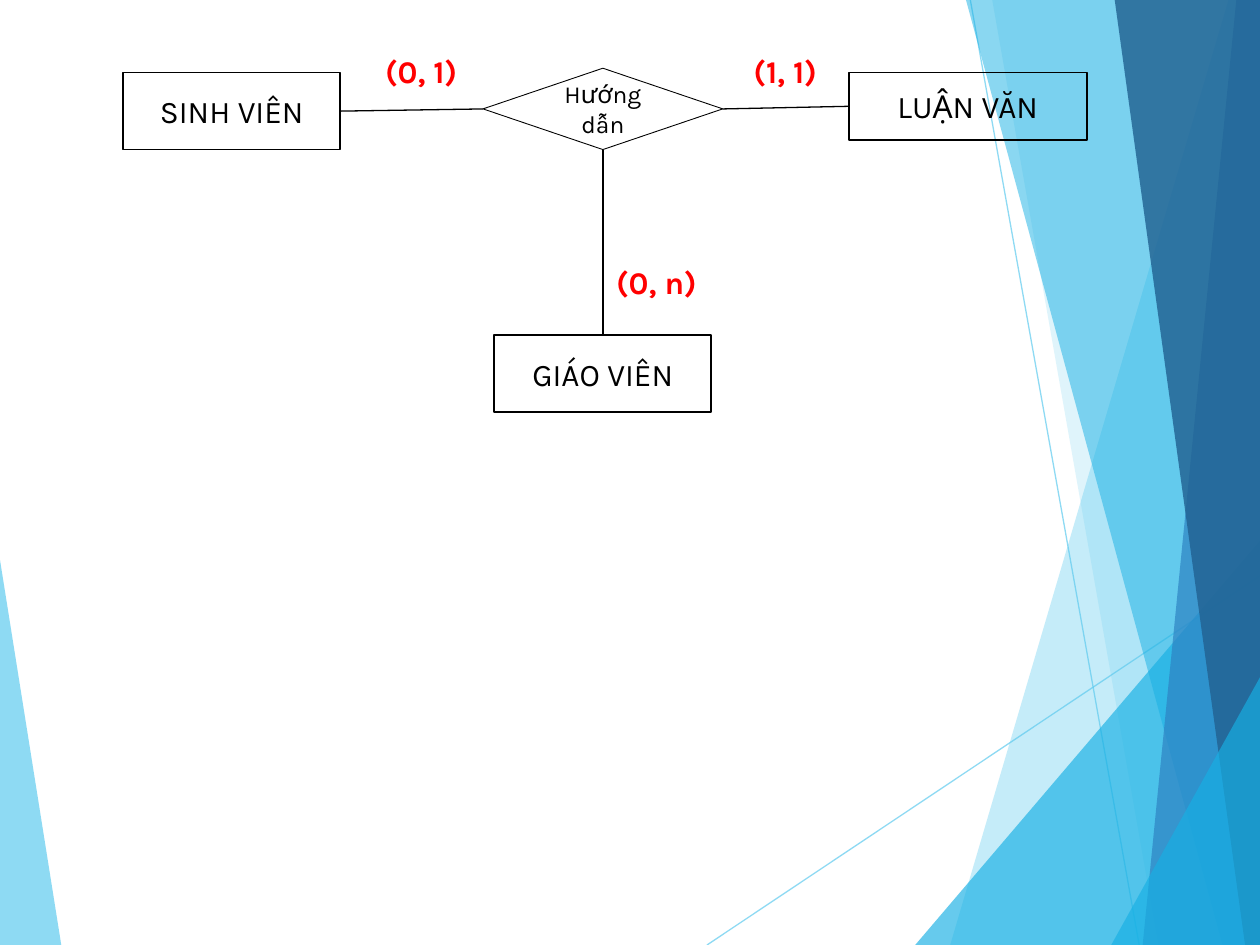
import pptx
import pptx.util
import pptx.dml.color
import pptx.enum.shapes
import pptx.enum.text
import lxml.etree

Pt = pptx.util.Pt
KIND = pptx.enum.shapes.MSO_SHAPE
FIT = pptx.enum.text.MSO_AUTO_SIZE
ALIGN = pptx.enum.text.PP_ALIGN
MIDDLE = pptx.enum.text.MSO_ANCHOR.MIDDLE
STRAIGHT = pptx.enum.shapes.MSO_CONNECTOR.STRAIGHT
NS = "{http://schemas.openxmlformats.org/drawingml/2006/main}"
TOP, LEFT, BOTTOM, RIGHT = range(4)
HEX = {"ink": "000000", "red": "FF0000", "sky": "5FCBEF",
       "cyan": "17B0E4", "blue": "2E83C3", "navy": "226292"}


def paint(fill, name, alpha=100):
    """Give a fill a solid colour with an opacity in percent."""
    fill.solid()
    fill.fore_color.rgb = pptx.dml.color.RGBColor.from_string(HEX[name])
    if alpha < 100:
        tint = fill._xPr.find(f"{NS}solidFill")[0]
        lxml.etree.SubElement(tint, f"{NS}alpha", val=str(alpha * 1000))


def write(shape, text, size=18, color="ink", bold=False, align=ALIGN.CENTER):
    """Put one formatted line of text into a shape."""
    para = shape.text_frame.paragraphs[0]
    para.alignment = align
    run = para.add_run()
    run.text = text
    run.font.name = "Karla"
    run.font.size = Pt(size)
    run.font.bold = bold
    paint(run.font.fill, color)


deck = pptx.Presentation()
deck.slide_width, deck.slide_height = Pt(720), Pt(540)
slide = deck.slides.add_slide(deck.slide_layouts[6])
shapes = slide.shapes

# Background rays, then facets
rays = [((404, 540), (720, 329)), ((554.5, 0), (651, 540))]
facets = [
    ("sky", 70, [(0, 320), (35, 540), (0, 540)]),
    ("sky", 36, [(702, 0), (543, 540), (720, 540), (720, 0)]),
    ("sky", 20, [(567, 0), (662, 540), (720, 540), (720, 0)]),
    ("cyan", 66, [(523, 540), (720, 309), (720, 540)]),
    ("cyan", 50, [(552, 0), (698.5, 540), (720, 540), (720, 0)]),
    ("blue", 70, [(706.5, 0), (653, 540), (720, 540), (720, 0)]),
    ("navy", 82, [(637, 0), (711.5, 540), (720, 540), (720, 0)]),
    ("cyan", 66, [(635, 540), (720, 387), (720, 540)]),
]
lines = []
for start, end in rays:
    ray = shapes.add_connector(STRAIGHT, *map(Pt, start + end))
    lines.append((ray, "sky", 70))
for color, alpha, points in facets:
    points = [(Pt(x), Pt(y)) for x, y in points]
    pen = shapes.build_freeform(*points[0])
    pen.add_line_segments(points[1:])
    facet = pen.convert_to_shape()
    facet.shadow.inherit = False
    facet.line.fill.background()
    paint(facet.fill, color, alpha)

# Entities and their relation
nodes = {}
for text, kind, box, size, width in [
    ("LUẬN VĂN", KIND.RECTANGLE, (485, 41.5, 136, 38.5), 18, 1),
    ("SINH VIÊN", KIND.RECTANGLE, (70.5, 41.5, 124, 44), 18, 1),
    ("Hướng dẫn", KIND.DIAMOND, (276, 39, 137, 46.5), 14, 0.5),
    ("GIÁO VIÊN", KIND.RECTANGLE, (282.5, 191.5, 124, 44), 18, 1),
]:
    node = shapes.add_shape(kind, *map(Pt, box))
    node.shadow.inherit = False
    node.fill.background()
    node.line.width = Pt(width)
    paint(node.line.fill, "ink")
    node.text_frame.vertical_anchor = MIDDLE
    write(node, text, size=size)
    nodes[text] = node

for first, side, last, end in [
    ("SINH VIÊN", RIGHT, "Hướng dẫn", LEFT),
    ("Hướng dẫn", RIGHT, "LUẬN VĂN", LEFT),
    ("GIÁO VIÊN", TOP, "Hướng dẫn", BOTTOM),
]:
    link = shapes.add_connector(STRAIGHT, 0, 0, 0, 0)
    link.begin_connect(nodes[first], side)
    link.end_connect(nodes[last], end)
    lines.append((link, "ink", 100))

for line, color, alpha in lines:
    line.line.width = Pt(0.75)
    paint(line.line.fill, color, alpha)
    lxml.etree.SubElement(line._element.spPr, f"{NS}effectLst")

# Cardinalities
for text, x, y, width, wrap in [
    ("(0, 1)", 213, 26, 73, True),
    ("(1, 1)", 423.5, 26, 61, False),
    ("(0, n)", 345, 147, 73, True),
]:
    label = shapes.add_textbox(Pt(x), Pt(y), Pt(width), Pt(29))
    label.text_frame.word_wrap = wrap
    label.text_frame.auto_size = FIT.SHAPE_TO_FIT_TEXT
    write(label, text, color="red", bold=True, align=ALIGN.LEFT)

deck.save("out.pptx")
